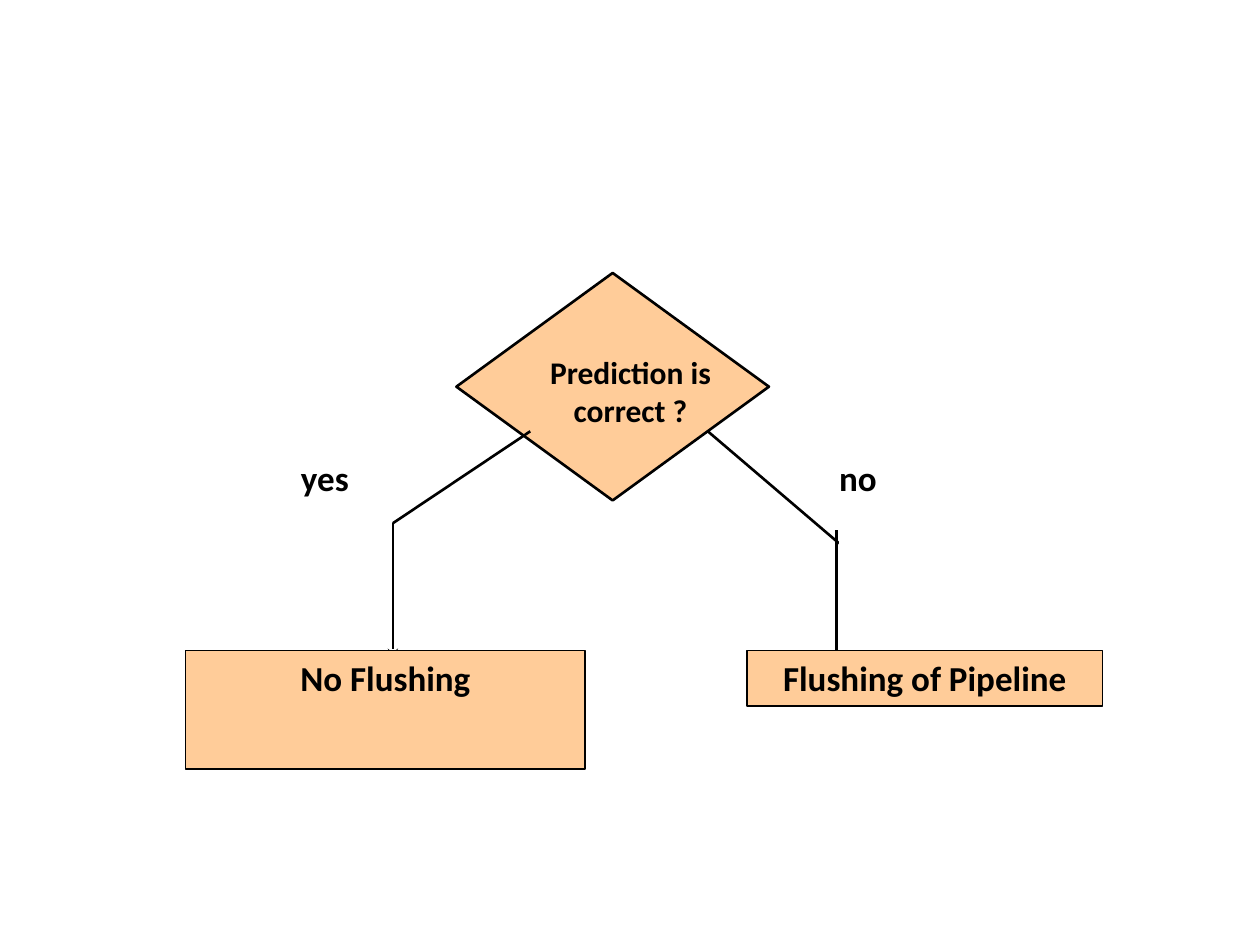
import pptx
import pptx.dml.color
import pptx.enum.shapes
import pptx.enum.text
import pptx.oxml
import pptx.oxml.ns
import pptx.util

Pt = pptx.util.Pt
Shape = pptx.enum.shapes.MSO_SHAPE
Align = pptx.enum.text.PP_ALIGN

BLACK = pptx.dml.color.RGBColor(0x00, 0x00, 0x00)
WHITE = pptx.dml.color.RGBColor(0xFF, 0xFF, 0xFF)
PEACH = pptx.dml.color.RGBColor(0xFF, 0xCC, 0x99)


class Flowchart:
    font = "Calibri"
    line_width = 1.5

    def __init__(self, page):
        self.page = page

    def add_text(self, box, text, size=20, align=Align.CENTER,
                 margins=(3.6, 3.6)):
        """Put bold text at the top of a box; margins are side and top."""
        frame = box.text_frame
        frame.word_wrap = True
        frame.vertical_anchor = pptx.enum.text.MSO_ANCHOR.TOP
        side, top = margins
        frame.margin_left = frame.margin_right = Pt(side)
        frame.margin_top = frame.margin_bottom = Pt(top)
        para = frame.paragraphs[0]
        para.alignment = align
        span = para.add_run()
        span.text = text
        span.font.name = self.font
        span.font.size = Pt(size)
        span.font.bold = True
        span.font.color.rgb = BLACK

    def shape(self, kind, left, top, width, height, fill=PEACH, border=None):
        box = self.page.shapes.add_shape(
            kind, Pt(left), Pt(top), Pt(width), Pt(height))
        box.shadow.inherit = False
        box.fill.solid()
        box.fill.fore_color.rgb = fill
        if border:
            box.line.color.rgb = BLACK
            box.line.width = Pt(border)
        else:
            box.line.fill.background()
        return box

    def decision(self, text, left, top, width, height):
        self.shape(Shape.DIAMOND, left, top, width, height,
                   border=self.line_width)
        # The wording sits lower and further right than the diamond's centre.
        box = self.page.shapes.add_textbox(
            Pt(left + 15), Pt(top + 42), Pt(169), Pt(110))
        self.add_text(box, text, size=18, margins=(7.2, 3.6))

    def outcome(self, text, left, top, width, height):
        box = self.shape(Shape.RECTANGLE, left, top, width, height, border=1)
        self.add_text(box, text)

    def label(self, text, left, top, width, height):
        box = self.shape(Shape.RECTANGLE, left, top, width, height, fill=WHITE)
        self.add_text(box, text, align=Align.LEFT, margins=(0, 0))

    def line(self, start, end, arrow=False):
        connector = self.page.shapes.add_connector(
            pptx.enum.shapes.MSO_CONNECTOR.STRAIGHT,
            *(Pt(value) for value in (*start, *end)))
        connector.line.color.rgb = BLACK
        connector.line.width = Pt(self.line_width)
        properties = connector.element.spPr
        namespace = pptx.oxml.ns.nsdecls("a")
        if arrow:
            stroke = properties.find(pptx.oxml.ns.qn("a:ln"))
            stroke.append(pptx.oxml.parse_xml(
                f'<a:tailEnd {namespace} type="stealth"/>'))
        properties.append(pptx.oxml.parse_xml(f"<a:effectLst {namespace}/>"))


def main():
    deck = pptx.Presentation()
    deck.slide_width, deck.slide_height = Pt(720), Pt(540)
    blank_layout = deck.slide_layouts[6]
    chart = Flowchart(deck.slides.add_slide(blank_layout))

    chart.decision("Prediction is correct ?", 260.8, 156, 178.6, 130)

    chart.line((224.5, 299), (224.5, 376.5), arrow=True)
    chart.line((478, 303), (478, 381), arrow=True)
    chart.line((404.5, 246.5), (479.5, 310.5))
    chart.line((224.5, 299), (303, 246.5))

    outcome_top = 371.8
    chart.outcome("Flushing of Pipeline", 427, outcome_top, 203, 31.7)
    chart.outcome("No Flushing", 106, outcome_top, 228.5, 67.7)

    label_top, label_height = 260.6, 52
    chart.label("no", 479.5, label_top, 42.5, label_height)
    chart.label("yes", 172, label_top, 50.4, label_height)

    deck.save("out.pptx")


if __name__ == "__main__":
    main()
